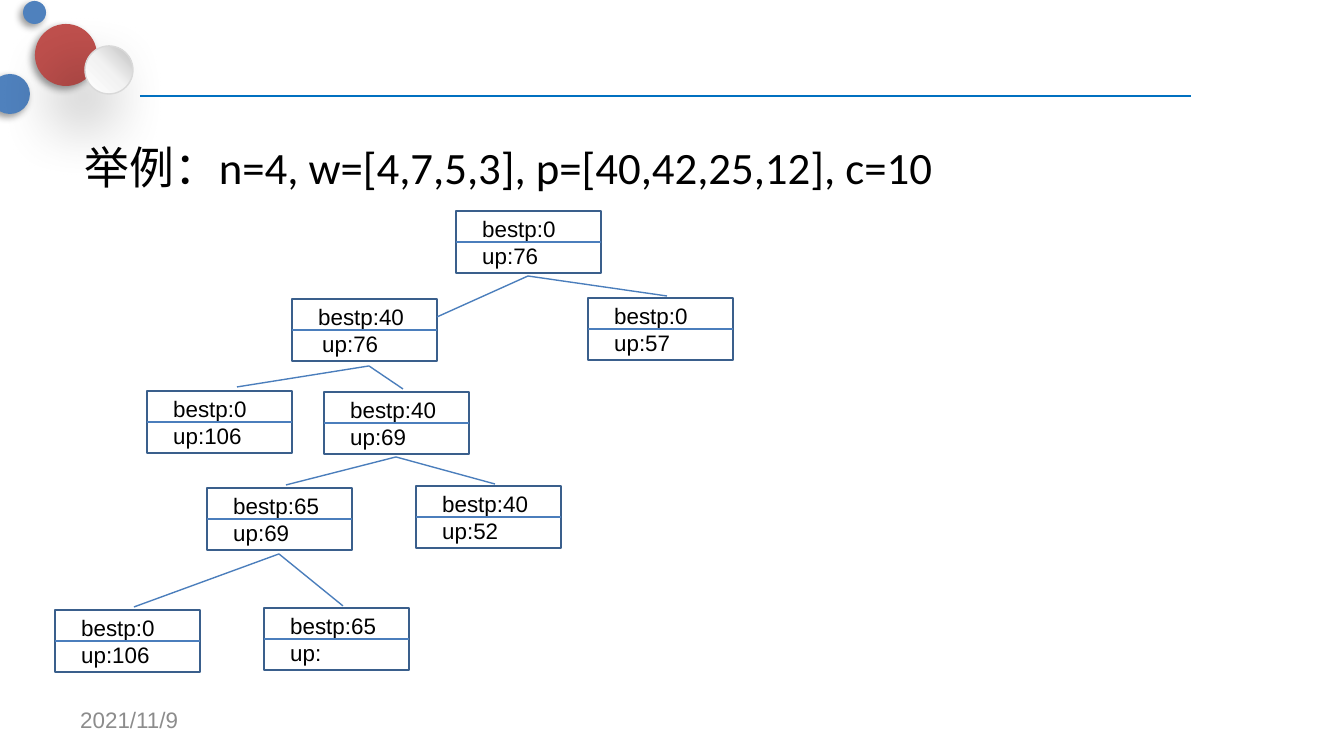
from lxml import etree
from pptx import Presentation
from pptx import util as u
from pptx.dml.color import RGBColor
from pptx.enum import shapes, text
from pptx.oxml import parse_xml
from pptx.oxml.ns import nsdecls, qn

PX = 914400 / 134.4
BLUE, RED, BORDER, BRANCH = "4F81BD", "C0504D", "3A5F8C", "4B7EBC"
NODE_W, NODE_H = 145, 62


def px(*lengths):
    """Turn pixels into EMU."""
    return [round(length * PX) for length in lengths]


def write(frame, words, size=12, font="Arial", color="000000", anchor=text.MSO_ANCHOR.TOP):
    frame.word_wrap = True
    frame.auto_size = text.MSO_AUTO_SIZE.NONE
    frame.vertical_anchor = anchor
    para = frame.paragraphs[0]
    para.alignment = text.PP_ALIGN.LEFT
    span = para.add_run()
    span.text = words
    span.font.size = u.Pt(size)
    span.font.name = font
    span.font.color.rgb = RGBColor.from_string(color)


deck = Presentation()
deck.slide_width, deck.slide_height = px(1344, 756)
page = deck.slides.add_slide(deck.slide_layouts[5])

title = page.shapes.title
title.left, title.top, title.width, title.height = px(71, 133, 1302, 95)
write(title.text_frame, "举例：n=4, w=[4,7,5,3], p=[40,42,25,12], c=10", size=24, font="Calibri")

# Lines: container, start, end, colour, width
lines = [(page.shapes, (140, 96), (1191, 96), "0070C0", 1.25)]

# Corner balls: left, top, diameter, fill, shadow blur, shadow distance
balls = [
    (35, 24, 62, RED, 4, 2),
    (-10, 74, 40, BLUE, 4, 2),
    (85, 46, 48, None, 35, 20),
    (23, 1, 23, BLUE, 4, 2),
]
for left, top, size, color, blur, distance in balls:
    ball = page.shapes.add_shape(shapes.MSO_SHAPE.OVAL, *px(left, top, size, size))
    if color:
        ball.fill.solid()
        ball.fill.fore_color.rgb = RGBColor.from_string(color)
        ball.line.fill.background()
    else:
        stops = "".join(
            f'<a:gs pos="{place * 1000}"><a:srgbClr val="{tone}"/></a:gs>'
            for place, tone in [(0, "FFFFFF"), (50, "F2F2F2"), (100, "BFBFBF")]
        )
        ball.element.spPr.find(qn("a:prstGeom")).addnext(parse_xml(
            f'<a:gradFill {nsdecls("a")}><a:gsLst>{stops}</a:gsLst>'
            f'<a:lin ang="{315 * 60000}" scaled="0"/></a:gradFill>'))
        ball.line.color.rgb = RGBColor.from_string("D9D9D9")
        ball.line.width = u.Pt(0.75)
    ball.element.spPr.append(parse_xml(
        f'<a:effectLst {nsdecls("a")}><a:outerShdw blurRad="{u.Pt(blur)}" '
        f'dist="{u.Pt(distance)}" dir="{135 * 60000}" algn="ctr" rotWithShape="0">'
        '<a:srgbClr val="000000"><a:alpha val="40000"/></a:srgbClr>'
        '</a:outerShdw></a:effectLst>'))

date = page.shapes.add_textbox(*px(67, 700, 313, 40))
write(date.text_frame, "2021/11/9", color="8C8C8C", anchor=text.MSO_ANCHOR.MIDDLE)

# Tree nodes: left, top, best value, upper bound, indent of the bound
nodes = [
    (456, 211, "0", "76", 13),
    (292, 299, "40", "76", 17),
    (588, 298, "0", "57", 13),
    (147, 391, "0", "106", 13),
    (324, 392, "40", "69", 13),
    (207, 488, "65", "69", 13),
    (416, 486, "40", "52", 13),
    (55, 610, "0", "106", 13),
    (264, 608, "65", "", 13),
]
for left, top, best, bound, indent in nodes:
    node = page.shapes.add_group_shape().shapes
    box = node.add_shape(shapes.MSO_SHAPE.RECTANGLE, *px(left, top, NODE_W, NODE_H))
    box.shadow.inherit = False
    box.fill.background()
    box.line.color.rgb = RGBColor.from_string(BORDER)
    box.line.width = u.Pt(1)
    middle = top + NODE_H // 2
    lines.append((node, (left, middle), (left + NODE_W, middle), BRANCH, 0.75))
    for words, x, y, width in [
        (f"up:{bound}", left + indent, top + 25, 120),
        (f"bestp:{best}", left + 13, top - 2, 131),
    ]:
        label = node.add_textbox(*px(x, y, width, 40))
        write(label.text_frame, words)

branches = {
    (528, 276): [(437, 317), (667, 296)],
    (369, 366): [(237, 387), (403, 389)],
    (396, 457): [(286, 485), (495, 484)],
    (279, 554): [(134, 607), (343, 606)],
}
for parent, children in branches.items():
    for child in children:
        lines.append((page.shapes, parent, child, BRANCH, 0.75))

for holder, start, end, color, width in lines:
    line = holder.add_connector(shapes.MSO_CONNECTOR.STRAIGHT, *px(*start, *end))
    line.line.color.rgb = RGBColor.from_string(color)
    line.line.width = u.Pt(width)
    etree.SubElement(line.element.spPr, qn("a:effectLst"))

deck.save("out.pptx")
